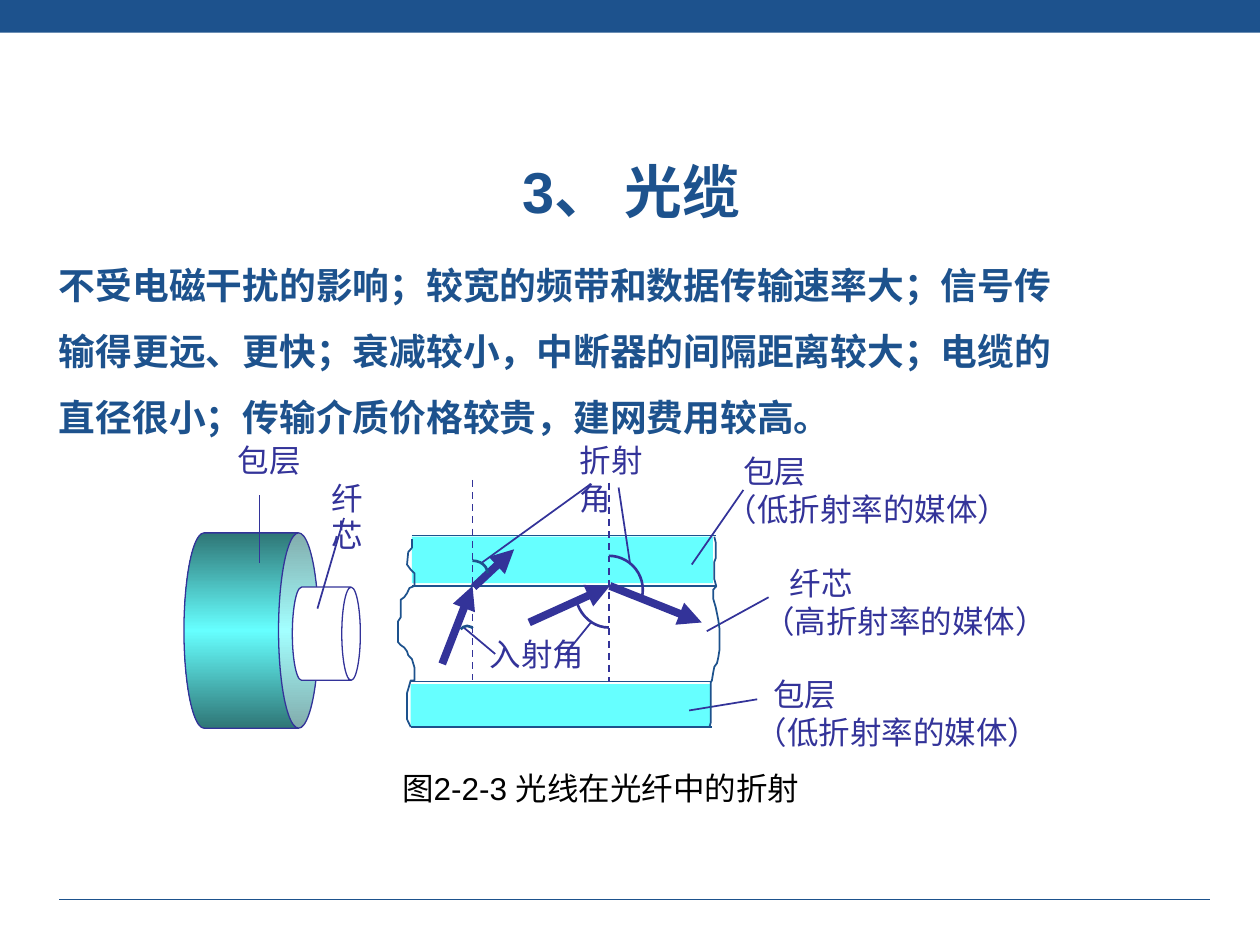
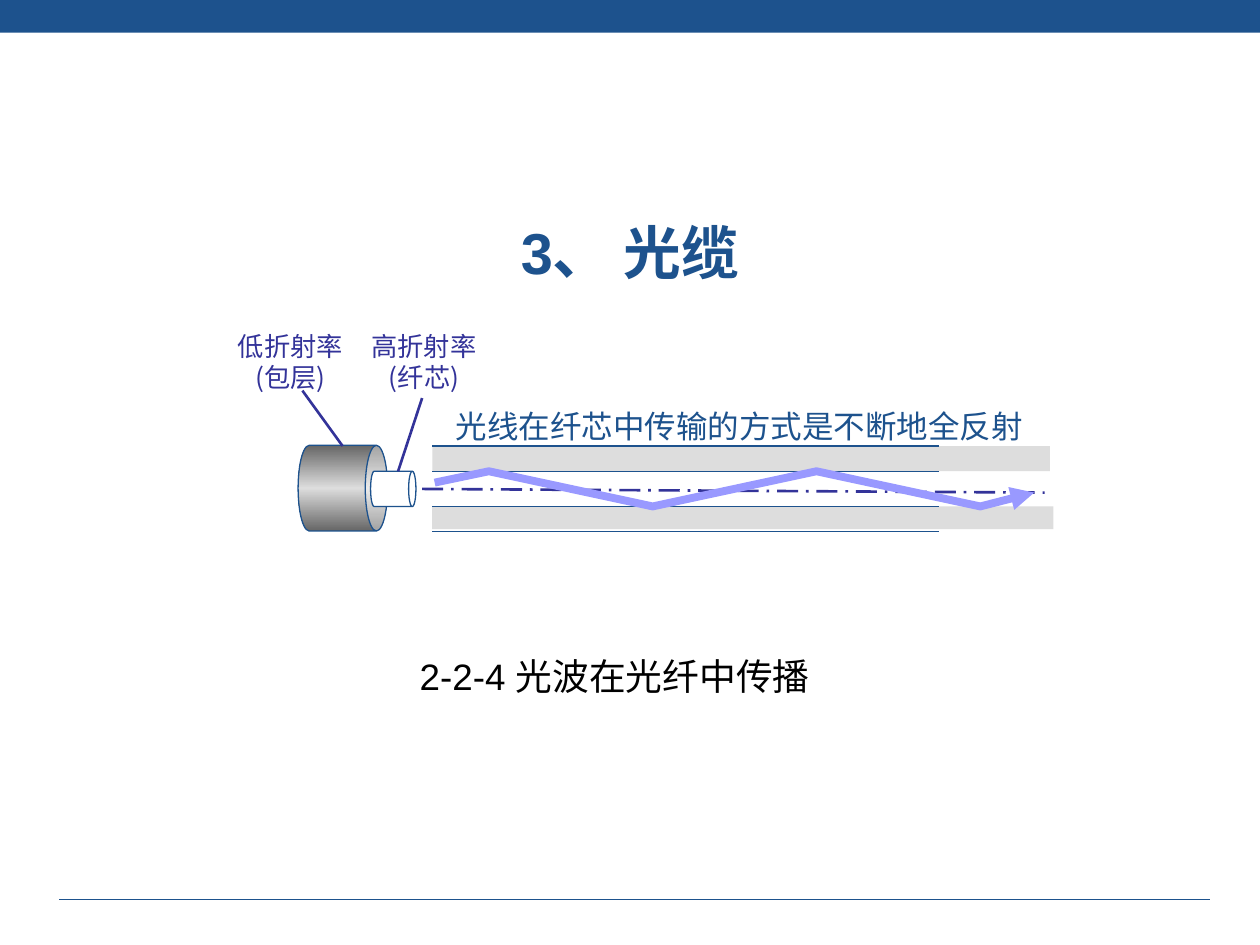
import copy

import pptx
import pptx.dml.color
import pptx.enum.dml
import pptx.enum.shapes
import pptx.enum.text
import pptx.oxml
import pptx.oxml.ns
import pptx.util

Pt = pptx.util.Pt
rgb = pptx.dml.color.RGBColor.from_string
qn = pptx.oxml.ns.qn
SHAPE = pptx.enum.shapes.MSO_SHAPE
STRAIGHT = pptx.enum.shapes.MSO_CONNECTOR.STRAIGHT
DASH = pptx.enum.dml.MSO_LINE.DASH
LONG_DASH_DOT = pptx.enum.dml.MSO_LINE.LONG_DASH_DOT
LEFT, CENTER = pptx.enum.text.PP_ALIGN.LEFT, pptx.enum.text.PP_ALIGN.CENTER
TOP, BOTTOM = pptx.enum.text.MSO_ANCHOR.TOP, pptx.enum.text.MSO_ANCHOR.BOTTOM

BLUE, INDIGO, BLACK, WHITE = "1D528D", "333399", "000000", "FFFFFF"
CYAN, DARK_CYAN, GREY, DARK_GREY, LILAC = "66FFFF", "2F7676", "DDDDDD", "666666", "9999FF"


def style_outline(shape, color, width, dash=None, arrow=False):
    """Set line colour, width, dash and end arrow, and switch the shadow off."""
    shape.line.color.rgb = rgb(color)
    shape.line.width = Pt(width)
    if dash:
        shape.line.dash_style = dash
    properties = shape.element.spPr
    if arrow:
        tail = pptx.oxml.parse_xml(f'<a:tailEnd {pptx.oxml.ns.nsdecls("a")} type="triangle"/>')
        properties.find(qn("a:ln")).append(tail)
    properties.append(pptx.oxml.parse_xml(f'<a:effectLst {pptx.oxml.ns.nsdecls("a")}/>'))


def write_text(shape, lines, size, color, align=LEFT, anchor=TOP, inset=7.2,
               font="Arial", bold=False, spacing=None, indent=0):
    """Fill a text shape; indent moves the first line to the right."""
    frame = shape.text_frame
    frame.word_wrap = True
    frame.auto_size = pptx.enum.text.MSO_AUTO_SIZE.NONE
    frame.vertical_anchor = anchor
    frame.margin_left = frame.margin_right = Pt(inset)
    frame.text = "\n".join(lines)
    for paragraph in frame.paragraphs:
        paragraph.alignment = align
        if spacing:
            paragraph.line_spacing = spacing
        paragraph.font.name = font
        paragraph.font.size = Pt(size)
        paragraph.font.bold = bold
        paragraph.font.color.rgb = rgb(color)
    if indent:
        frame.paragraphs[0]._p.get_or_add_pPr().set("indent", str(Pt(indent)))


presentation = pptx.Presentation()
presentation.slide_width, presentation.slide_height = Pt(720), Pt(540)
layout = presentation.slide_layouts[5]
refraction = presentation.slides.add_slide(layout)
propagation = presentation.slides.add_slide(layout)

# Top band and bottom rule, moved into the shared layout
band = refraction.shapes.add_shape(SHAPE.RECTANGLE, 0, 0, Pt(720), Pt(18.7))
band.fill.solid()
band.fill.fore_color.rgb = rgb(BLUE)
band.line.fill.background()
band.shadow.inherit = False
rule = refraction.shapes.add_connector(STRAIGHT, Pt(33.8), Pt(514), Pt(691.2), Pt(514))
style_outline(rule, BLUE, 0.75)
for shape in (band, rule):
    layout.shapes.element.append(shape.element)

# Captions and headings
for slide, caption, size, box, heading_left, heading_top in (
    (refraction, "图2-2-3 光线在光纤中的折射", 18, (33, 428.4, 620.6, 36), 50.4, 54),
    (propagation, "2-2-4 光波在光纤中传播", 21, (41, 324, 620.6, 78.5), 49.7, 89.3),
):
    title = slide.shapes.title
    title.left, title.top, title.width, title.height = map(Pt, box)
    write_text(title, [caption], size, BLACK, CENTER, BOTTOM)
    heading = slide.shapes.add_textbox(Pt(heading_left), Pt(heading_top), Pt(620.6), Pt(78.5))
    write_text(heading, ["3、 光缆"], 33, BLUE, CENTER, BOTTOM, 5, bold=True, spacing=0.9)

# Cladding in section
for slide, color, box in (
    (refraction, CYAN, (235.4, 306.7, 172, 26.6)),
    (refraction, CYAN, (234.7, 391, 171.4, 23.8)),
    (propagation, GREY, (247, 254.9, 353, 14.4)),
    (propagation, GREY, (247, 289.4, 355, 13)),
):
    cladding = slide.shapes.add_shape(SHAPE.RECTANGLE, *map(Pt, box))
    cladding.fill.solid()
    cladding.fill.fore_color.rgb = rgb(color)
    cladding.line.fill.background()
    cladding.shadow.inherit = False

# Fibre ends: a shaded cladding cylinder and a white core
for slide, box, curve, colors, outline in (
    (refraction, (87.8, 321.8, 111.6, 77), 0.298, (DARK_CYAN, CYAN, DARK_CYAN), INDIGO),
    (refraction, (159.8, 342.7, 53.3, 38.9), 0.273, (WHITE,), INDIGO),
    (propagation, (171.4, 253.4, 49, 51.1), 0.26, (DARK_GREY, GREY, DARK_GREY), BLUE),
    (propagation, (214.6, 266.4, 20.2, 25.9), 0.207, (WHITE,), BLUE),
):
    cylinder = slide.shapes.add_shape(SHAPE.CAN, *map(Pt, box))
    cylinder.rotation = 90
    cylinder.adjustments[0] = curve
    if len(colors) == 1:
        cylinder.fill.solid()
        cylinder.fill.fore_color.rgb = rgb(colors[0])
    else:
        cylinder.fill.gradient()
        cylinder.fill.gradient_angle = 0
        stop_list = cylinder.element.spPr.find(qn("a:gradFill")).find(qn("a:gsLst"))
        stop_list.insert(1, copy.deepcopy(stop_list[0]))
        for stop, color, position in zip(cylinder.fill.gradient_stops, colors, (0, 0.5, 1)):
            stop.color.rgb = rgb(color)
            stop.position = position
    style_outline(cylinder, outline, 0.75)

# Straight lines: colour, width, dash, arrow, then end points
line_groups = (
    (refraction, BLUE, 1, None, False, (  # cladding edges
        (235.4, 306, 409, 306), (235.4, 334.8, 409, 334.8),
        (234.7, 389.5, 406.8, 389.5), (234.7, 415.4, 406.8, 415.4))),
    (refraction, INDIGO, 1, DASH, False, (  # normals
        (270, 274.3, 270, 388.8), (347.9, 275.8, 347.9, 389.5))),
    (refraction, INDIGO, 4.5, None, True, (  # rays
        (270.7, 335.5, 293.8, 313.9), (252.7, 379.4, 270, 334.8),
        (302.4, 355.7, 348.5, 334.8), (348.5, 334.8, 401, 355.7))),
    (refraction, INDIGO, 1, None, False, (  # leaders
        (353.5, 278.6, 360, 321.8), (275, 321.8, 337.7, 276.5),
        (265, 358.6, 283, 373.7), (322.6, 374.4, 337.7, 355.7),
        (403.9, 360.7, 439.2, 341.3), (424.8, 280, 395.3, 322.6),
        (432.7, 399.6, 393.8, 406), (148.3, 283, 148.3, 321.8),
        (196.6, 296, 181.4, 347.8))),
    (propagation, BLUE, 0.75, None, False, [  # cladding edges
        (247, y, 536.4, y) for y in (254.9, 269.3, 289.4, 303.8)]),
    (propagation, INDIGO, 1.5, LONG_DASH_DOT, False, ((241.2, 279.4, 597, 281.5),)),  # axis
    (propagation, INDIGO, 1.5, None, False, (  # leaders
        (241.2, 227.5, 227.5, 269.3), (172.8, 223.2, 195.8, 254.9))),
)
for slide, color, width, dash, arrow, segments in line_groups:
    for segment in segments:
        connector = slide.shapes.add_connector(STRAIGHT, *map(Pt, segment))
        style_outline(connector, color, width, dash, arrow)

# Broken fibre edges and the reflected light path
left_edge = (
    (235.4, 308), (235.4, 313), (233.3, 315.5), (232.6, 322.6), (234.7, 325.5), (236.9, 327.6),
    (236.9, 334.8), (234, 336), (232.6, 339), (231, 341.3), (229, 342.7), (229, 352.8),
    (227.5, 355), (227.5, 367), (229, 368.6), (231, 370), (232.6, 372.2), (233.3, 374.4),
    (235.4, 376.6), (236.9, 381.6), (236.9, 388.8), (234.7, 388.8), (233.3, 393.8),
    (232.6, 396), (232.6, 411), (234.7, 415.4))
right_edge = (
    (408.2, 306.7), (409, 310), (409, 319), (408.2, 321), (408.2, 331), (409.3, 335),
    (407.5, 337), (407.5, 342), (409, 347), (410.4, 354), (411.1, 359), (411.1, 371.5),
    (410.4, 376), (409.7, 379), (408.2, 381), (407.5, 384.5), (406.8, 388.8),
    (406.1, 390), (406.1, 413), (405.4, 415.4))
light_path = ((248.4, 275.8), (279.4, 269.3), (373, 289.4), (466.6, 269.3),
              (560.2, 289.4), (591, 281.5))
for slide, points, color, width, arrow in (
    (refraction, left_edge, BLUE, 1, False),
    (refraction, right_edge, BLUE, 1, False),
    (propagation, light_path, LILAC, 4.5, True),
):
    start, *others = [(Pt(x), Pt(y)) for x, y in points]
    builder = slide.shapes.build_freeform(*start)
    builder.add_line_segments(others, close=False)
    outline = builder.convert_to_shape()
    outline.fill.background()
    style_outline(outline, color, width, arrow=arrow)

# Angle marks: centre, radii, start and end in degrees clockwise from the right
for x, y, radius_x, radius_y, start, end, color in (
    (270, 327.6, 8.6, 7.2, 270, 0, BLUE),
    (267, 362.2, 4.5, 4.5, 215, 315, BLUE),
    (347.9, 337, 19.4, 21.6, 90, 155, INDIGO),
    (347.9, 337, 19.4, 19.4, 270, 12, INDIGO),
):
    arc = refraction.shapes.add_shape(SHAPE.ARC, Pt(x - radius_x), Pt(y - radius_y),
                                      Pt(2 * radius_x), Pt(2 * radius_y))
    arc.adjustments[0], arc.adjustments[1] = start * 0.6, end * 0.6
    arc.fill.background()
    style_outline(arc, color, 1.5)

# Labels and body text
low_index, high_index = "（低折射率的媒体）", "（高折射率的媒体）"
noto = "Noto Sans CJK SC"
body = ("不受电磁干扰的影响；较宽的频带和数据传输速率大；信号传输得更远、更快；衰减较小，"
        "中断器的间隔距离较大；电缆的直径很小；传输介质价格较贵，建网费用较高。")
for slide, box, lines, size, color, options in (
    (refraction, (326.2, 248.4, 52, 50), ["折射角"], 18, INDIGO, {"inset": 5}),
    (refraction, (275, 359.3, 68, 27), ["入射角"], 18, INDIGO, {"inset": 5}),
    (refraction, (407.5, 254.9, 190, 50), ["包层", low_index], 18, INDIGO, {"indent": 10}),
    (refraction, (424.8, 382.3, 190, 50), ["包层", low_index], 18, INDIGO, {"indent": 10}),
    (refraction, (429.1, 319, 190, 50), ["纤芯", high_index], 18, INDIGO, {"indent": 15}),
    (refraction, (128.9, 248.4, 60, 29), ["包层"], 18, INDIGO, {}),
    (refraction, (182.2, 270, 41, 50), ["纤芯"], 18, INDIGO, {}),
    (refraction, (26.6, 133.9, 600.5, 121), [body], 21, BLUE,
     {"font": noto, "bold": True, "spacing": 1.5}),
    (propagation, (197.3, 185, 90, 43), ["高折射率", "(纤芯)"], 15, INDIGO,
     {"font": noto, "align": CENTER}),
    (propagation, (120.9, 185, 90, 43), ["低折射率", "(包层)"], 15, INDIGO,
     {"font": noto, "align": CENTER}),
    (propagation, (253.4, 229, 350, 29), ["光线在纤芯中传输的方式是不断地全反射"], 18, BLUE,
     {"font": noto}),
):
    write_text(slide.shapes.add_textbox(*map(Pt, box)), lines, size, color, **options)

presentation.save("out.pptx")
